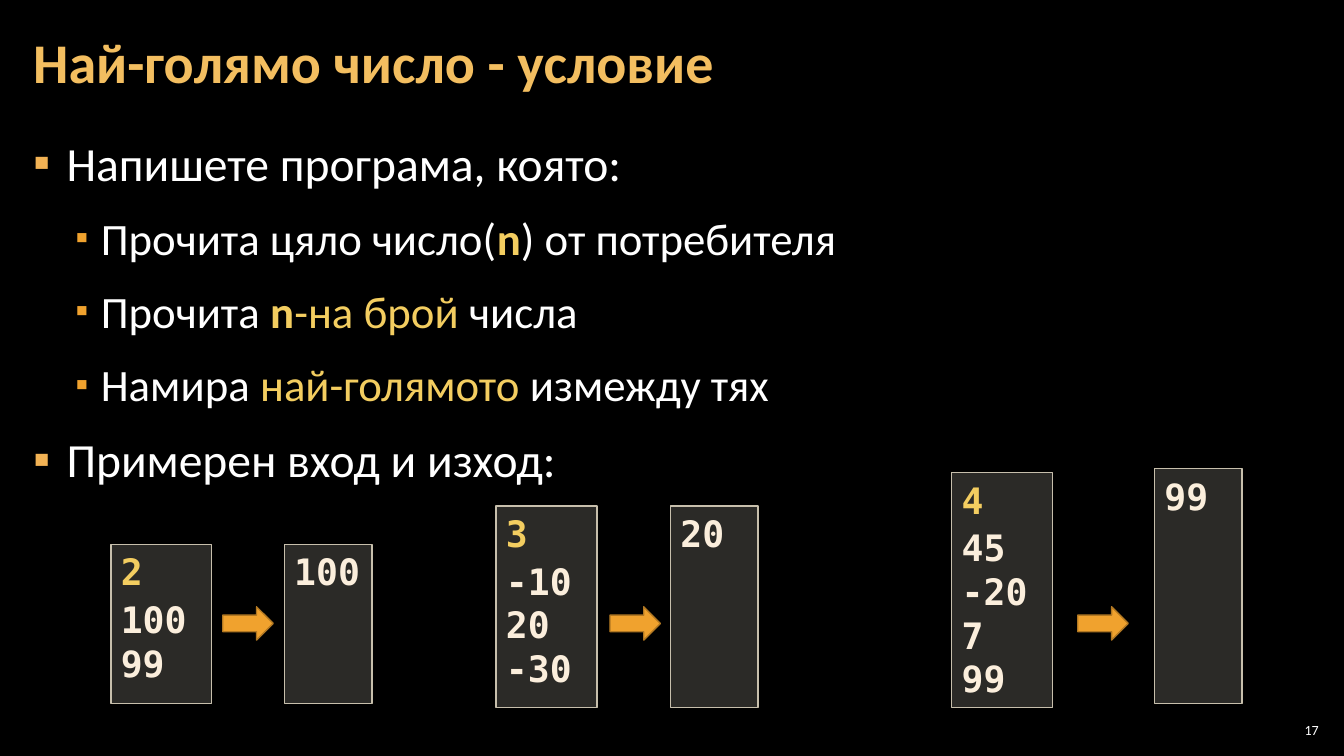
from lxml import etree
from pptx import Presentation
from pptx.dml.color import RGBColor
from pptx.enum.shapes import MSO_SHAPE
from pptx.enum.text import MSO_ANCHOR, PP_ALIGN
from pptx.oxml.ns import qn
from pptx.util import Inches, Pt

RECT, ARROW = MSO_SHAPE.RECTANGLE, MSO_SHAPE.RIGHT_ARROW
TOP, MIDDLE = MSO_ANCHOR.TOP, MSO_ANCHOR.MIDDLE
LEFT, RIGHT = PP_ALIGN.LEFT, PP_ALIGN.RIGHT

BLACK = RGBColor(0x00, 0x00, 0x00)
WHITE = RGBColor(0xFF, 0xFF, 0xFF)
TITLE = RGBColor(0xF3, 0xBE, 0x60)
YELLOW = RGBColor(0xF3, 0xCD, 0x60)
CREAM = RGBColor(0xFB, 0xEE, 0xDC)
BULLET = RGBColor(0xF2, 0xB2, 0x54)
ORANGE = RGBColor(0xF0, 0xA2, 0x2E)
ARROW_LINE = RGBColor(0xB2, 0x78, 0x22)
BOX_FILL = RGBColor(0xD9, 0xD5, 0xC7)
BOX_LINE = RGBColor(0xC7, 0xBF, 0xAC)

# (level, runs); a run is (text, colour, bold)
TASK = [
    (0, [("Напишете програма, която:", WHITE, False)]),
    (1, [("Прочита цяло число(", WHITE, False), ("n", YELLOW, True),
         (") от потребителя", WHITE, False)]),
    (1, [("Прочита ", WHITE, False), ("n", YELLOW, True),
         ("-на брой", YELLOW, False), (" числа", WHITE, False)]),
    (1, [("Намира ", WHITE, False), ("най-голямото ", YELLOW, False),
         ("измежду тях", WHITE, False)]),
    (0, [("Примерен вход и изход:", WHITE, False)]),
]

# level: (size, left margin, first-line indent, bullet colour, bullet size %)
LEVELS = [(34, 0.33, -0.33, BULLET, 100), (32, 0.67, -0.25, ORANGE, 80)]

# (input left, input top, arrow left, output left, output top, height, numbers, result)
EXAMPLES = [
    (1.1, 5.4, 2.21, 2.82, 5.4, 1.58, ["2", "100", "99"], "100"),
    (4.92, 5.02, 6.05, 6.65, 5.02, 2, ["3", "-10", "20", "-30"], "20"),
    (9.44, 4.69, 10.69, 11.45, 4.65, 2.33, ["4", "45", "-20", "7", "99"], "99"),
]


class Deck:
    font, code_font, code_size = "Calibri", "DejaVu Sans Mono", 26

    def __init__(self):
        self.prs = Presentation()
        self.prs.slide_width, self.prs.slide_height = Inches(13.33), Inches(7.5)
        self.s = self.prs.slides.add_slide(self.prs.slide_layouts[6])
        fill = self.s.background.fill
        fill.solid()
        fill.fore_color.rgb = BLACK

    def run(self, p, text, size, color, bold=False, font=font):
        r = p.add_run()
        r.text = text
        r.font.name, r.font.size, r.font.bold = font, Pt(size), bold
        r.font.color.rgb = color

    def text_box(self, x, y, w, h, anchor=TOP, side=0.12):
        tf = self.s.shapes.add_textbox(*map(Inches, (x, y, w, h))).text_frame
        tf.word_wrap = True
        tf.vertical_anchor = anchor
        tf.margin_left = tf.margin_right = Inches(side)
        tf.margin_top = tf.margin_bottom = Inches(0.04)
        return tf

    def label(self, box, text, size, color, bold=False, align=LEFT, side=0.12, spacing=1.0):
        p = self.text_box(*box, MIDDLE, side).paragraphs[0]
        p.alignment, p.line_spacing = align, spacing
        self.run(p, text, size, color, bold)

    def bullets(self, box, items):
        tf = self.text_box(*box)
        for i, (level, runs) in enumerate(items):
            size, margin, indent, color, percent = LEVELS[level]
            p = tf.add_paragraph() if i else tf.paragraphs[0]
            p.level, p.line_spacing = level, 1.05
            p.space_before = p.space_after = Pt(6)
            pPr = p._p.get_or_add_pPr()
            pPr.set("marL", str(Inches(margin)))
            pPr.set("indent", str(Inches(indent)))
            clr = etree.SubElement(pPr, qn("a:buClr"))
            etree.SubElement(clr, qn("a:srgbClr"), val=str(color))
            etree.SubElement(pPr, qn("a:buSzPct"), val=str(percent * 1000))
            etree.SubElement(pPr, qn("a:buFont"), typeface=self.font)
            etree.SubElement(pPr, qn("a:buChar"), char="▪")
            for text, run_color, bold in runs:
                self.run(p, text, size, run_color, bold)

    def shape(self, kind, x, y, w, h, fill, line):
        sp = self.s.shapes.add_shape(kind, *map(Inches, (x, y, w, h)))
        sp.shadow.inherit = False
        sp.fill.solid()
        sp.fill.fore_color.rgb = fill
        sp.line.color.rgb = line
        sp.line.width = Pt(1)
        return sp

    def arrow(self, x, y):
        self.shape(ARROW, x, y, 0.5, 0.33, ORANGE, ARROW_LINE)

    def number_box(self, x, y, w, h, numbers, first_color):
        """Translucent box with one number a line."""
        sp = self.shape(RECT, x, y, w, h, BOX_FILL, BOX_LINE)
        clr = sp._element.spPr.find(qn("a:solidFill")).find(qn("a:srgbClr"))
        etree.SubElement(clr, qn("a:alpha"), val="20000")
        tf = sp.text_frame
        tf.word_wrap = True
        tf.vertical_anchor = TOP
        for i, number in enumerate(numbers):
            p = tf.add_paragraph() if i else tf.paragraphs[0]
            p.alignment = LEFT
            p.space_before = Pt(3 if i == 1 else 0)
            color = CREAM if i else first_color
            self.run(p, number, self.code_size, color, True, self.code_font)


def main():
    deck = Deck()
    deck.label((12.65, 7.14, 0.47, 0.21), "17", 10, WHITE, align=RIGHT, side=0.04)
    deck.bullets((0.21, 1.26, 12.91, 6.09), TASK)
    deck.label((0.21, 0.04, 10.47, 1.21), "Най-голямо число - условие", 40, TITLE,
               bold=True, spacing=0.9)
    for in_x, in_y, arrow_x, out_x, out_y, h, numbers, result in EXAMPLES:
        deck.number_box(in_x, in_y, 1, h, numbers, YELLOW)
        deck.number_box(out_x, out_y, 0.87, h, [result], CREAM)
        deck.arrow(arrow_x, 6.02)
    deck.prs.save("out.pptx")


if __name__ == "__main__":
    main()
